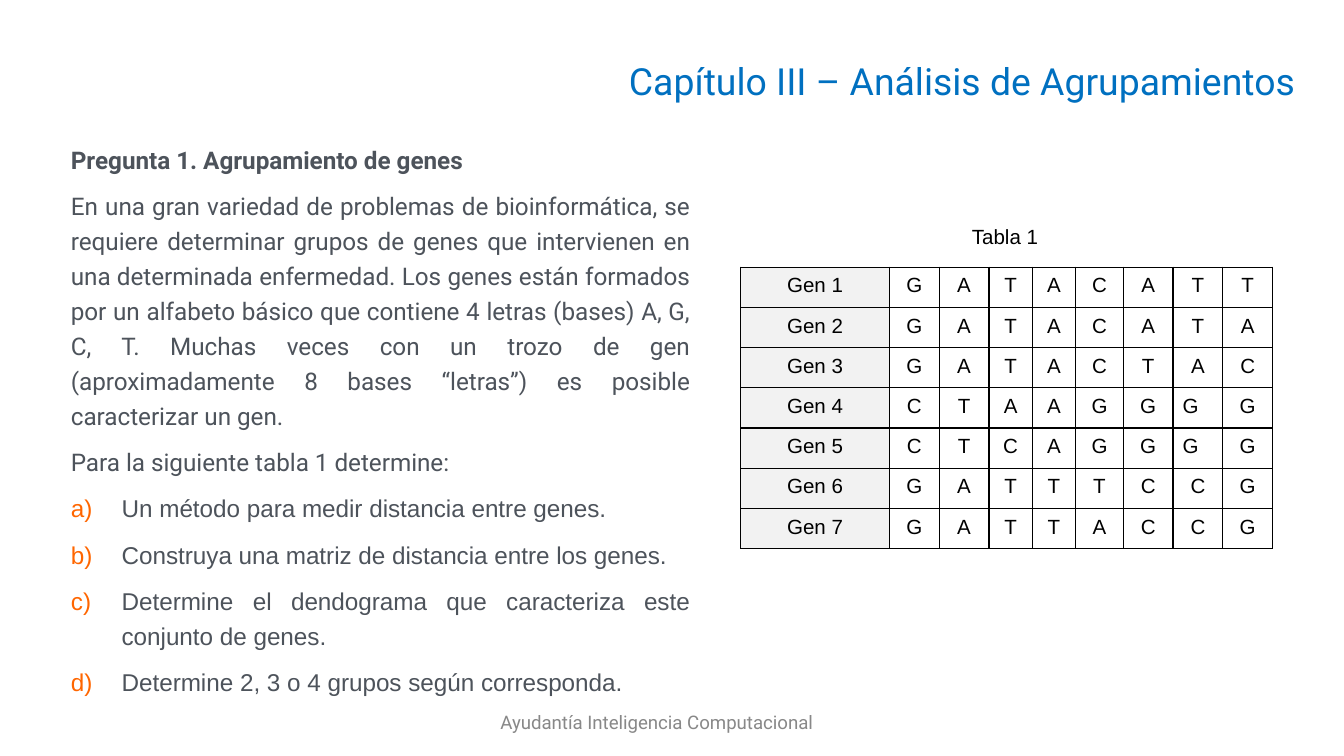
from lxml import etree
from pptx import Presentation
from pptx import util as u
from pptx.dml import color
from pptx.enum import text
from pptx.oxml import ns

ALIGN = text.PP_ALIGN


def rgb(value):
    return color.RGBColor.from_string(value)


def add_xml(parent, tag, **attributes):
    return etree.SubElement(parent, ns.qn(tag), **attributes)


class SlideBuilder:
    """Keeps the style and the slide that is being filled."""

    HEADING_FONT, TABLE_FONT = "Roboto", "Arial"
    BLUE, BODY, ORANGE, GREY = "0070C0", "4D535B", "FF6600", "888888"
    BLACK, LABEL_FILL = "000000", "F2F2F2"
    LINE_SPACING = 1.2

    def __init__(self, slide):
        self.slide = slide

    def text_box(self, left, top, width, height, anchor=text.MSO_ANCHOR.TOP):
        box = self.slide.shapes.add_textbox(u.Cm(left), u.Cm(top), u.Cm(width), u.Cm(height))
        frame = box.text_frame
        frame.word_wrap = True
        frame.vertical_anchor = anchor
        return frame

    def add_words(self, paragraph, words, size, font, colour, align, bold=False):
        paragraph.alignment = align
        run = paragraph.add_run()
        run.text = words
        run.font.size = u.Pt(size)
        run.font.name = font
        run.font.bold = bold
        run.font.color.rgb = rgb(colour)

    def line(self, place, words, size, font, colour, align, anchor=text.MSO_ANCHOR.MIDDLE):
        frame = self.text_box(*place, anchor)
        self.add_words(frame.paragraphs[0], words, size, font, colour, align)

    def question(self, place, heading, statements, tasks):
        frame = self.text_box(*place)
        entries = [(heading, self.HEADING_FONT)]
        entries += [(statement, self.HEADING_FONT) for statement in statements]
        entries += [(task, self.TABLE_FONT) for task in tasks]
        first_task = 1 + len(statements)
        for index, (words, font) in enumerate(entries):
            paragraph = frame.add_paragraph() if index else frame.paragraphs[0]
            self.add_words(paragraph, words, 13, font, self.BODY, ALIGN.JUSTIFY, bold=index == 0)
            paragraph.line_spacing = self.LINE_SPACING
            paragraph.space_before = u.Pt(6 if index else 0)
            if index >= first_task:
                self.letter(paragraph)

    def letter(self, paragraph):
        """Number a paragraph a), b), c)... with a hanging indent."""
        properties = paragraph._p.get_or_add_pPr()
        indent = u.Cm(0.96)
        properties.set("marL", str(indent))
        properties.set("indent", str(-indent))
        add_xml(add_xml(properties, "a:buClr"), "a:srgbClr", val=self.ORANGE)
        add_xml(properties, "a:buFont", typeface=self.TABLE_FONT)
        add_xml(properties, "a:buAutoNum", type="alphaLcParenR")

    def border(self, cell):
        properties = cell._tc.get_or_add_tcPr()
        for side in ("a:lnL", "a:lnR", "a:lnT", "a:lnB"):
            edge = add_xml(properties, side, w=str(u.Pt(0.75)))
            add_xml(add_xml(edge, "a:solidFill"), "a:srgbClr", val=self.BLACK)

    def gene_table(self, left, top, widths, row_height, genes, justified):
        table = self.slide.shapes.add_table(
            len(genes), len(widths), u.Cm(left), u.Cm(top),
            u.Cm(sum(widths)), u.Cm(row_height * len(genes))).table
        table.first_row = table.horz_banding = False
        for column, width in zip(table.columns, widths):
            column.width = u.Cm(width)
        for r, bases in enumerate(genes):
            table.rows[r].height = u.Cm(row_height)
            for c, words in enumerate([f"Gen {r + 1}", *bases]):
                cell = table.cell(r, c)
                cell.margin_left = cell.margin_right = u.Cm(0.18)
                cell.margin_top = cell.margin_bottom = u.Cm(0.05)
                self.border(cell)
                if c == 0:
                    cell.fill.solid()
                    cell.fill.fore_color.rgb = rgb(self.LABEL_FILL)
                else:
                    cell.fill.background()
                align = ALIGN.JUSTIFY if (r, c) in justified else ALIGN.CENTER
                paragraph = cell.text_frame.paragraphs[0]
                self.add_words(paragraph, words, 11, self.TABLE_FONT, self.BLACK, align)
                paragraph.line_spacing = self.LINE_SPACING


def main():
    deck = Presentation()
    deck.slide_width, deck.slide_height = u.Cm(25.4), u.Cm(14.29)
    page = SlideBuilder(deck.slides.add_slide(deck.slide_layouts[6]))

    # Chapter title
    page.line((5.31, 0.74, 19.43, 1.57), "Capítulo III – Análisis de Agrupamientos",
              20, page.HEADING_FONT, page.BLUE, ALIGN.RIGHT)

    # Question and its tasks
    page.question(
        (1.09, 2.51, 12.19, 9.42),
        "Pregunta 1. Agrupamiento de genes",
        ["En una gran variedad de problemas de bioinformática, se requiere determinar "
         "grupos de genes que intervienen en una determinada enfermedad. Los genes están "
         "formados por un alfabeto básico que contiene 4 letras (bases) A, G, C, T. Muchas "
         "veces con un trozo de gen (aproximadamente 8 bases “letras”) es posible "
         "caracterizar un gen. ",
         "Para la siguiente tabla 1 determine: "],
        ["Un método para medir distancia entre genes. ",
         "Construya una matriz de distancia entre los genes.",
         "Determine el dendograma que caracteriza este conjunto de genes. ",
         "Determine 2, 3 o 4 grupos según corresponda."])

    # Footer
    page.line((5.21, 13.16, 14.4, 0.99), "Ayudantía Inteligencia Computacional",
              10, page.HEADING_FONT, page.GREY, ALIGN.CENTER)

    # Gene table with its caption
    genes = ["GATACATT", "GATACATA", "GATACTAC", "CTAAGGGG",
             "CTCAGGGG", "GATTTCCG", "GATTACCG"]
    widths = [2.81, 0.94, 0.94, 0.82, 0.82, 0.9, 0.94, 0.94, 0.94]
    page.gene_table(14, 5.05, widths, 0.76, genes, justified={(3, 7), (4, 7)})
    page.line((18.08, 4.11, 1.83, 0.74), "Tabla 1", 11, page.TABLE_FONT, page.BLACK,
              ALIGN.CENTER, text.MSO_ANCHOR.TOP)

    deck.save("out.pptx")


if __name__ == "__main__":
    main()
